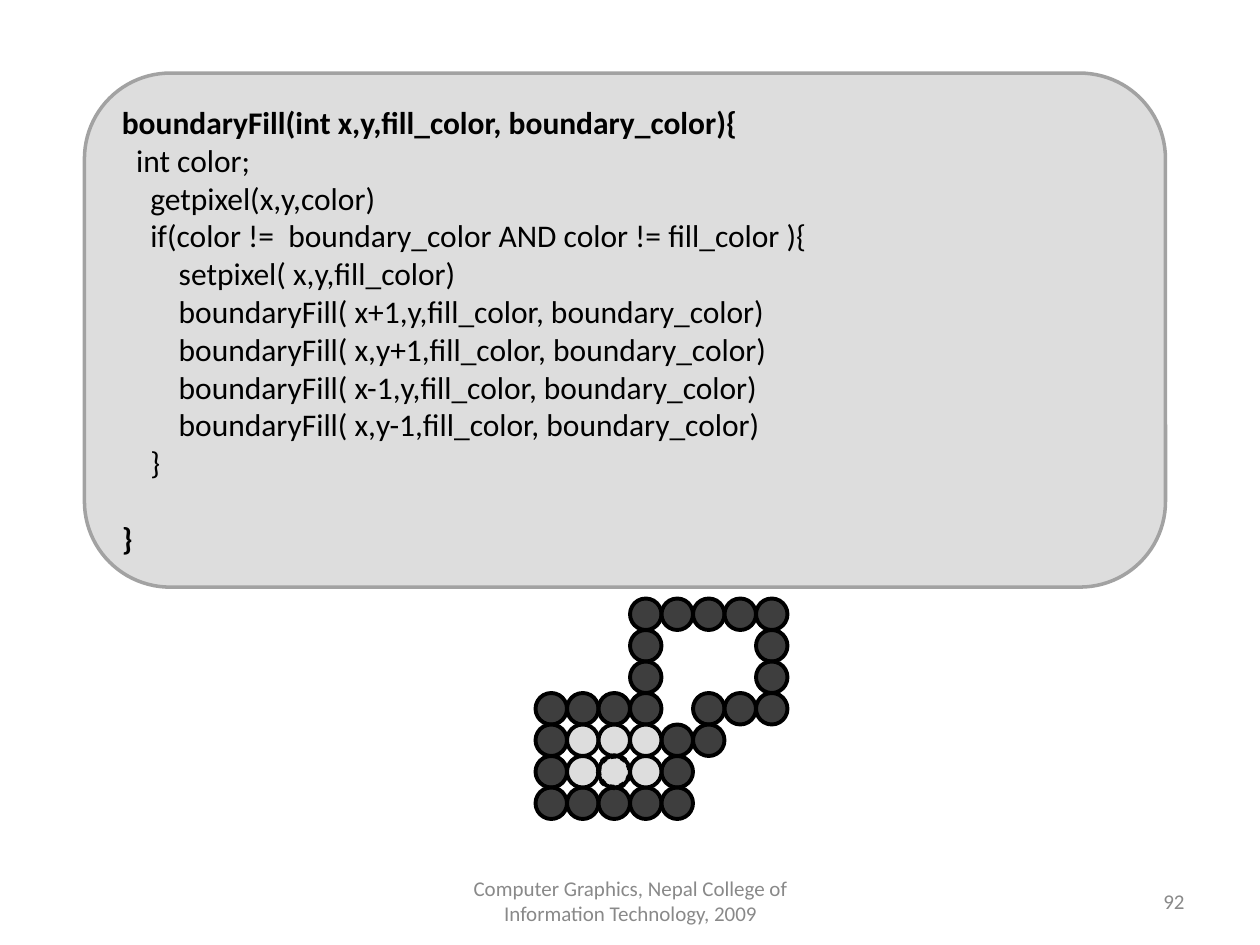
from dataclasses import dataclass

from pptx import Presentation
from pptx import util as u
from pptx.dml.color import RGBColor
from pptx.enum import dml, shapes, text

PX = 9144


@dataclass(frozen=True)
class Theme:
    font: str = "Calibri"
    ink: str = "000000"
    muted: str = "898989"
    panel: str = "DDDDDD"
    panel_line: str = "A2A2A2"
    boundary: str = "3E3E3E"
    filled: str = "DDDDDD"
    code_pt: int = 18
    footer_pt: int = 12


@dataclass(frozen=True)
class Box:
    x: int
    y: int
    w: int
    h: int

    def emu(self) -> list[int]:
        return [v * PX for v in (self.x, self.y, self.w, self.h)]


@dataclass(frozen=True)
class CodeLine:
    content: str
    bold: bool = False
    before_pt: int = 0


@dataclass(frozen=True)
class Footer:
    content: str
    box: Box
    align: text.PP_ALIGN


THEME = Theme()
PANEL = Box(67, 58, 858, 408)
CODE = [
    CodeLine("boundaryFill(int x,y,fill_color, boundary_color){", bold=True),
    CodeLine("  int color;"),
    CodeLine("    getpixel(x,y,color)"),
    CodeLine("    if(color !=  boundary_color AND color != fill_color ){"),
    CodeLine("        setpixel( x,y,fill_color)"),
    *(
        CodeLine(f"        boundaryFill( {step},fill_color, boundary_color)")
        for step in ("x+1,y", "x,y+1", "x-1,y", "x,y-1")
    ),
    CodeLine("    }"),
    CodeLine("}", bold=True, before_pt=22),
]
FOOTERS = [
    Footer(
        "Computer Graphics, Nepal College of Information Technology, 2009",
        Box(342, 695, 317, 40),
        text.PP_ALIGN.CENTER,
    ),
    Footer("92", Box(717, 695, 233, 40), text.PP_ALIGN.RIGHT),
]
PIXEL = 25
GRID_X, GRID_Y = 425, 475
PIXELS = [
    "...#####",
    "...#...#",
    "...#...#",
    "####.###",
    "#ooo##",
    "#ooo#",
    "#####",
]
PIXEL_FILLS = {"#": THEME.boundary, "o": THEME.filled}
SEED_COL, SEED_ROW = 2, 5


def rgb(color: str) -> RGBColor:
    return RGBColor.from_string(color)


def add_run(p, content: str, size: int, color: str, bold: bool = False) -> None:
    r = p.add_run()
    r.text = content
    r.font.name = THEME.font
    r.font.size = u.Pt(size)
    r.font.bold = bold
    r.font.color.rgb = rgb(color)


def add_shape(s, kind, box: Box, fill: str | None, line: str, width: float):
    sp = s.shapes.add_shape(kind, *box.emu())
    sp.shadow.inherit = False
    if fill:
        sp.fill.solid()
        sp.fill.fore_color.rgb = rgb(fill)
    else:
        sp.fill.background()
    sp.line.color.rgb = rgb(line)
    sp.line.width = u.Pt(width)
    return sp


def add_code_panel(s) -> None:
    sp = add_shape(s, shapes.MSO_SHAPE.ROUNDED_RECTANGLE, PANEL,
                   THEME.panel, THEME.panel_line, 2)
    tf = sp.text_frame
    tf.word_wrap = True
    tf.vertical_anchor = text.MSO_ANCHOR.MIDDLE
    for i, line in enumerate(CODE):
        p = tf.add_paragraph() if i else tf.paragraphs[0]
        p.alignment = text.PP_ALIGN.LEFT
        if line.before_pt:
            p.space_before = u.Pt(line.before_pt)
        add_run(p, line.content, THEME.code_pt, THEME.ink, line.bold)


def add_footer(s, footer: Footer) -> None:
    tf = s.shapes.add_textbox(*footer.box.emu()).text_frame
    tf.word_wrap = True
    tf.vertical_anchor = text.MSO_ANCHOR.MIDDLE
    p = tf.paragraphs[0]
    p.alignment = footer.align
    add_run(p, footer.content, THEME.footer_pt, THEME.muted)


def add_pixel(s, col: int, row: int, fill: str | None, width: float = 2.25):
    box = Box(GRID_X + col * PIXEL, GRID_Y + row * PIXEL, PIXEL, PIXEL)
    return add_shape(s, shapes.MSO_SHAPE.OVAL, box, fill, THEME.ink, width)


def add_pixel_grid(s) -> None:
    for kind, fill in PIXEL_FILLS.items():
        for row, cells in enumerate(PIXELS):
            for col, cell in enumerate(cells):
                if cell == kind:
                    add_pixel(s, col, row, fill)
    seed = add_pixel(s, SEED_COL, SEED_ROW, None, 3)
    seed.line.dash_style = dml.MSO_LINE.ROUND_DOT


def main() -> None:
    prs = Presentation()
    prs.slide_width, prs.slide_height = 1000 * PX, 750 * PX
    s = prs.slides.add_slide(prs.slide_layouts[6])
    add_code_panel(s)
    for footer in FOOTERS:
        add_footer(s, footer)
    add_pixel_grid(s)
    prs.save("out.pptx")


if __name__ == "__main__":
    main()
